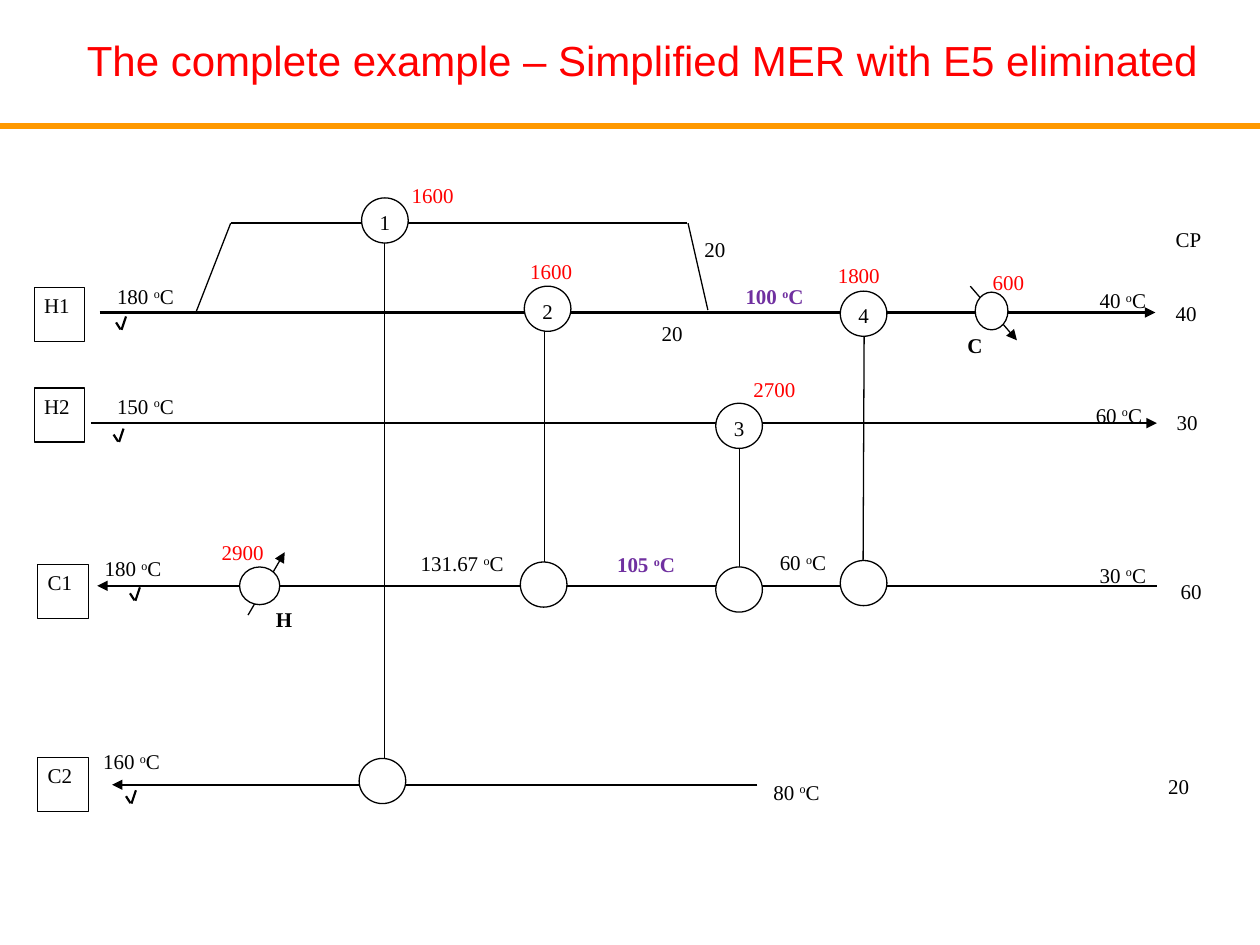
from lxml import etree
from pptx import Presentation
from pptx.dml.color import RGBColor
from pptx.enum.shapes import MSO_CONNECTOR, MSO_SHAPE
from pptx.enum.text import MSO_ANCHOR, PP_ALIGN
from pptx.oxml.ns import qn
from pptx.util import Cm, Pt

STRAIGHT = MSO_CONNECTOR.STRAIGHT
RECT, OVAL = MSO_SHAPE.RECTANGLE, MSO_SHAPE.OVAL
TOP = MSO_ANCHOR.TOP
LEFT, CENTER = PP_ALIGN.LEFT, PP_ALIGN.CENTER

BLACK, WHITE, RED, PURPLE, ORANGE = "000000", "FFFFFF", "FF0000", "7030A0", "FF9900"


def rgb(value):
    return RGBColor.from_string(value)


class Diagram:
    font = "Times New Roman"
    size = 12
    thin = 0.75
    thick = 1.25

    def __init__(self, slide):
        self.s = slide

    def line(self, x1, y1, x2, y2, width=thin, color=BLACK, arrow=False):
        c = self.s.shapes.add_connector(STRAIGHT, Cm(x1), Cm(y1), Cm(x2), Cm(y2))
        c.line.width = Pt(width)
        c.line.color.rgb = rgb(color)
        if arrow:
            etree.SubElement(c.line._get_or_add_ln(), qn("a:tailEnd"), type="triangle")
        etree.SubElement(c._element.spPr, qn("a:effectLst"))

    def run(self, p, text, color=BLACK, bold=False, raised=False):
        r = p.add_run()
        r.text = text
        r.font.name = self.font
        r.font.size = Pt(self.size)
        r.font.bold = bold
        r.font.color.rgb = rgb(color)
        if raised:
            r._r.get_or_add_rPr().set("baseline", "30000")

    def frame(self, sp, align=LEFT, inset=(0.2, 0.03)):
        tf = sp.text_frame
        tf.word_wrap = True
        tf.vertical_anchor = TOP
        tf.margin_left = tf.margin_right = Cm(inset[0])
        tf.margin_top = tf.margin_bottom = Cm(inset[1])
        p = tf.paragraphs[0]
        p.alignment = align
        p.line_spacing = 1.15
        p.space_after = Pt(10)
        return p

    def shape(self, kind, x, y, w, h, text="", align=CENTER):
        sp = self.s.shapes.add_shape(kind, Cm(x), Cm(y), Cm(w), Cm(h))
        sp.shadow.inherit = False
        sp.fill.solid()
        sp.fill.fore_color.rgb = rgb(WHITE)
        sp.line.color.rgb = rgb(BLACK)
        sp.line.width = Pt(self.thin)
        if text:
            self.run(self.frame(sp, align), text)

    def label(self, x, y, w, h, text, color=BLACK, bold=False, inset=(0.2, 0.03)):
        sp = self.s.shapes.add_textbox(Cm(x), Cm(y), Cm(w), Cm(h))
        p = self.frame(sp, inset=inset)
        self.run(p, text, color, bold)
        return p

    def temperature(self, x, y, w, value, color=BLACK, bold=False):
        p = self.label(x, y, w, 0.99, value + " ", color, bold)
        self.run(p, "o", color, bold, raised=True)
        self.run(p, "C", color, bold)

    def tick(self, x, y):
        self.line(x, y, x + 0.09, y + 0.14, self.thick)
        self.line(x + 0.11, y + 0.15, x + 0.2, y - 0.12, self.thick)

    def title(self, x, y, w, h, text):
        sp = self.s.shapes.add_textbox(Cm(x), Cm(y), Cm(w), Cm(h))
        sp.text_frame.word_wrap = False
        r = sp.text_frame.paragraphs[0].add_run()
        r.text = text
        r.font.name = "Arial"
        r.font.size = Pt(24)
        r.font.color.rgb = rgb(RED)


prs = Presentation()
prs.slide_width, prs.slide_height = Cm(25.4), Cm(19.05)
d = Diagram(prs.slides.add_slide(prs.slide_layouts[6]))

d.line(0, 2.54, 25.4, 2.54, 3, ORANGE)
d.title(1.5, 0.58, 23.39, 1.27,
        "The complete example – Simplified MER with E5 eliminated")

streams = [
    ("H1", 2.01, 23.29, 6.3, 0.69, 5.79, 2.34, 6.5),
    ("H2", 1.83, 23.32, 8.53, 0.69, 7.82, 2.29, 8.76),
    ("C1", 23.32, 1.96, 11.81, 0.76, 11.38, 2.62, 11.96),
    ("C2", 15.27, 2.26, 15.82, 0.76, 15.27, 2.54, 16.05),
]
for name, start, end, y, box_x, box_y, tick_x, tick_y in streams:
    d.line(start, y, end, y, d.thick, arrow=True)
    d.shape(RECT, box_x, box_y, 1.02, 1.09, name, LEFT)
    d.tick(tick_x, tick_y)

d.line(4.65, 4.5, 13.84, 4.5, 1)
d.line(4.65, 4.5, 3.96, 6.27)
d.line(13.87, 4.5, 14.27, 6.25)

exchangers = [
    ("1", (7.29, 3.99), (7.24, 15.29), (7.75, 4.9, 7.75, 15.52)),
    ("2", (10.57, 5.77), (10.49, 11.33), (10.97, 6.65, 10.97, 11.51)),
    ("3", (14.43, 8.13), (14.43, 11.43), (14.91, 9.04, 14.91, 11.43)),
    ("4", (16.94, 5.87), (16.94, 11.3), (17.42, 6.78, 17.4, 11.3)),
]
for number, hot, cold, link in exchangers:
    d.line(*link)
    d.shape(OVAL, *hot, 0.94, 0.91, number)
    d.shape(OVAL, *cold, 0.94, 0.91)

utilities = [
    ("C", (19.56, 5.77, 20.5, 6.86), (19.66, 5.89, 0.66, 0.76), (19.3, 6.6)),
    ("H", (5, 12.4, 5.74, 11.13), (4.83, 11.43, 0.81, 0.76), (5.36, 12.12)),
]
for name, arrow, oval, place in utilities:
    d.line(*arrow, arrow=True)
    d.shape(OVAL, *oval)
    d.label(*place, 0.76, 0.86, name, bold=True)

for x, y, w, value in [
    (2.16, 5.61, 1.8, "180"), (21.97, 5.69, 1.57, "40"),
    (2.16, 7.82, 2.01, "150"), (21.89, 8, 1.45, "60"),
    (1.91, 11.1, 1.83, "180"), (8.28, 11, 2.24, "131.67"),
    (15.52, 10.97, 1.7, "60"), (21.97, 11.23, 1.83, "30"),
    (1.88, 14.99, 1.73, "160"), (15.39, 15.6, 1.47, "80"),
]:
    d.temperature(x, y, w, value)
for x, y, value in [(14.83, 5.61, "100"), (12.24, 11.02, "105")]:
    d.temperature(x, y, 1.7, value, PURPLE, True)

for x, y, duty in [
    (8.1, 3.58, "1600"), (10.49, 5.11, "1600"), (14.99, 7.49, "2700"),
    (16.69, 5.18, "1800"), (19.81, 5.33, "600"), (4.27, 10.77, "2900"),
]:
    d.label(x, y, 1.9, 0.81, duty, RED)

for x, y, cp in [
    (23.7, 4.5, "CP"), (23.7, 5.99, "40"), (23.72, 8.18, "30"),
    (23.8, 11.58, "60"), (23.55, 15.52, "20"),
    (14.2, 4.7, "20"), (13.34, 6.38, "20"),
]:
    d.label(x, y, 0.76, 0.89, cp, inset=(0, 0))

prs.save("out.pptx")
